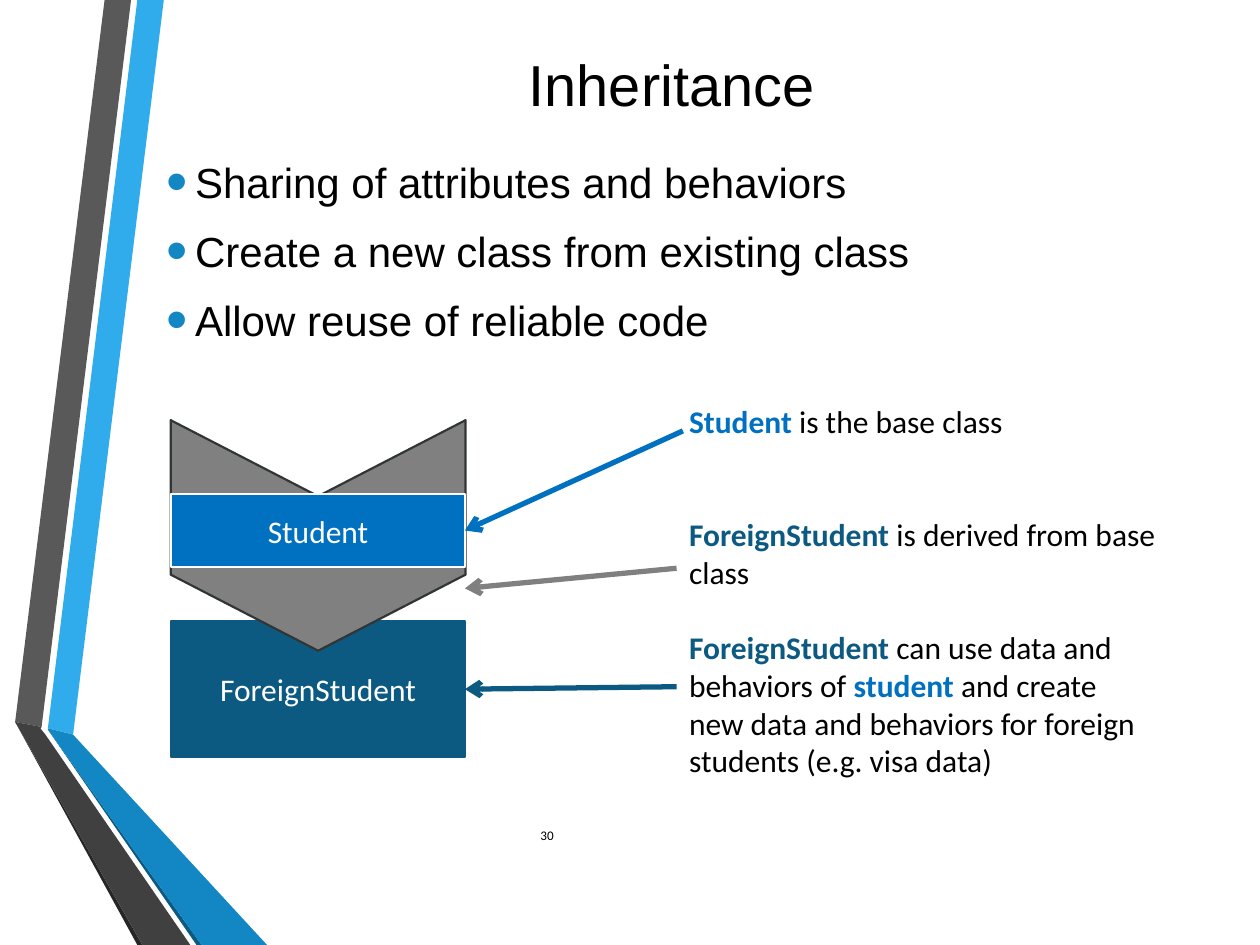
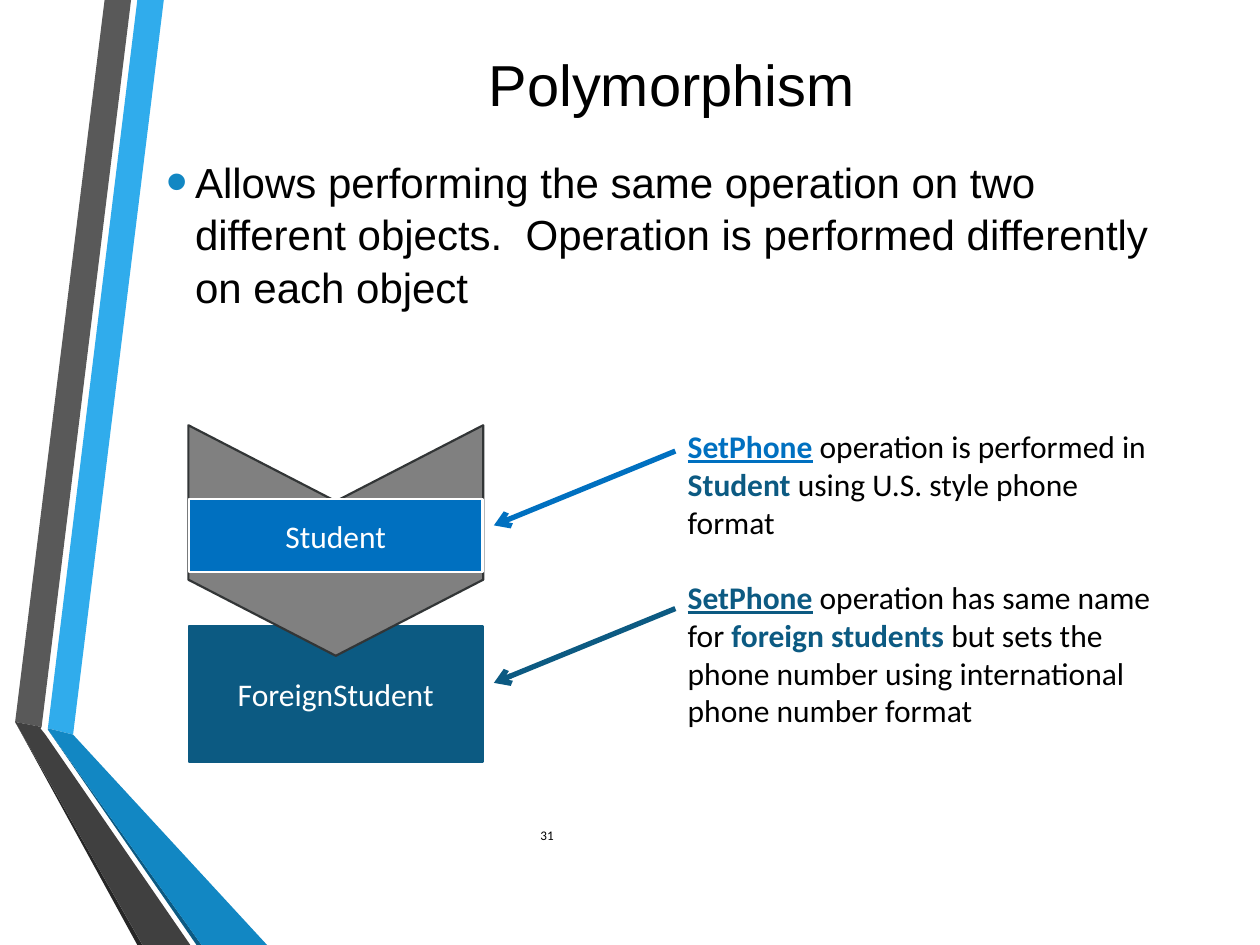
from dataclasses import dataclass
from typing import NamedTuple

import lxml.etree
import pptx
import pptx.dml.color
import pptx.enum.shapes
import pptx.enum.text
import pptx.oxml.ns
import pptx.util

PX = 9144  # EMU per px, 100 px to the inch

COLORS = {
    "black": "000000",
    "white": "FFFFFF",
    "sky": "30ACEC",
    "ocean": "1287C3",
    "teal": "0C5A82",
    "blue": "0070C0",
    "gray": "808080",
    "edge": "323536",
    "slate": "595959",
    "coal": "404040",
    "night": "262626",
}

SHAPE = pptx.enum.shapes.MSO_SHAPE
ALIGN = pptx.enum.text.PP_ALIGN
ANCHOR = pptx.enum.text.MSO_ANCHOR


class Run(NamedTuple):
    text: str
    color: str = "black"
    bold: bool = False
    under: bool = False


class Box(NamedTuple):
    left: int
    top: int
    width: int
    height: int


class Band(NamedTuple):
    color: str
    points: list[tuple[int, int]]


class Arrow(NamedTuple):
    """A line to a point, or to the right side of the named class box."""
    color: str
    start: tuple[int, int]
    end: tuple[int, int] | str


@dataclass
class Page:
    title: str
    number: int
    points: list[str]
    stack: tuple[int, int]
    notes: list[list[Run]]
    area: Box
    gaps: list[float]
    arrows: list[Arrow]


BANDS = [
    Band("sky", [(38, 578), (58, 583), (130, 0), (109, 0)]),
    Band("slate", [(104, 0), (83, 0), (12, 573), (33, 577)]),
    Band("night", [(12, 573), (109, 750), (113, 750)]),
    Band("teal", [(38, 579), (156, 750), (160, 750)]),
    Band("ocean", [(38, 578), (38, 579), (160, 750), (212, 750), (58, 583)]),
    Band("coal", [(151, 750), (36, 583), (32, 578), (33, 577), (12, 573), (113, 750)]),
]
TITLE = Box(122, 25, 822, 83)
BODY = Box(122, 117, 822, 567)
NUMBER = Box(419, 643, 581, 40)

PAGES = [
    Page(
        "Inheritance", 30,
        ["Sharing of attributes and behaviors",
         "Create a new class from existing class",
         "Allow reuse of reliable code"],
        (136, 493),
        [[Run("Student ", "blue", True), Run("is the base class")],
         [Run("ForeignStudent ", "teal", True), Run("is derived from base class")],
         [Run("ForeignStudent ", "teal", True), Run("can use data and behaviors of "),
          Run("student ", "blue", True),
          Run("and create new data and behaviors for foreign students (e.g. visa data)")]],
        Box(537, 314, 392, 367), [0, 43, 21.5],
        [Arrow("blue", (542, 342), "Student"),
         Arrow("teal", (537, 545), "ForeignStudent"),
         Arrow("gray", (537, 451), (369, 467))],
    ),
    Page(
        "Polymorphism", 31,
        ["Allows performing the same operation on two different objects.  "
         "Operation is performed differently on each object"],
        (150, 497),
        [[Run("SetPhone", "blue", True, True), Run(" operation is performed in "),
          Run("Student", "teal", True), Run(" using U.S. style phone format")],
         [Run("SetPhone", "teal", True, True), Run(" operation has same name for "),
          Run("foreign students ", "teal", True),
          Run("but sets the phone number using international phone number format")]],
        Box(536, 334, 392, 270), [0, 21.5],
        [Arrow("blue", (536, 358), (392, 417)),
         Arrow("teal", (536, 483), (392, 542))],
    ),
]


def rgb(name: str) -> pptx.dml.color.RGBColor:
    return pptx.dml.color.RGBColor.from_string(COLORS[name])


def emu(lengths) -> list[int]:
    return [length * PX for length in lengths]


def add_xml(parent, tag: str, **attrs: str):
    return lxml.etree.SubElement(parent, pptx.oxml.ns.qn(tag), attrs)


def write(shape, paras: list[list[Run]], *, size: float, font: str = "Calibri",
          align=ALIGN.LEFT, anchor=ANCHOR.TOP, gaps: list[float] | None = None) -> None:
    """Fill a shape with paragraphs; gaps gives the points before each."""
    frame = shape.text_frame
    frame.word_wrap = True
    frame.vertical_anchor = anchor
    for i, runs in enumerate(paras):
        para = frame.paragraphs[0] if i == 0 else frame.add_paragraph()
        para.alignment = align
        if gaps:
            para.space_before = pptx.util.Pt(gaps[i])
        for item in runs:
            run = para.add_run()
            run.text = item.text
            run.font.name = font
            run.font.size = pptx.util.Pt(size)
            run.font.color.rgb = rgb(item.color)
            run.font.bold = item.bold
            run.font.underline = item.under


def add_text(slide, box: Box, paras: list[list[Run]], **style):
    shape = slide.shapes.add_textbox(*emu(box))
    write(shape, paras, **style)
    return shape


def add_list(slide, points: list[str]) -> None:
    shape = add_text(slide, BODY, [[Run(point)] for point in points],
                     size=24, font="Arial", gaps=[4.8] * len(points))
    for para in shape.text_frame.paragraphs:
        para.space_after = pptx.util.Pt(4.5)
        para.line_spacing = 1.05
        props = para._p.get_or_add_pPr()
        props.set("marL", str(23 * PX))
        props.set("indent", str(-23 * PX))
        add_xml(add_xml(props, "a:buClr"), "a:srgbClr", val=COLORS["ocean"])
        add_xml(props, "a:buSzPct", val="145000")
        add_xml(props, "a:buFont", typeface="Arial")
        add_xml(props, "a:buChar", char="•")


def paint(shape, fill: str, line: str | None = None) -> None:
    shape.shadow.inherit = False
    shape.fill.solid()
    shape.fill.fore_color.rgb = rgb(fill)
    if line:
        shape.line.color.rgb = rgb(line)
        shape.line.width = pptx.util.Pt(1.25)
    else:
        shape.line.fill.background()


def add_band(slide, band: Band) -> None:
    outline = slide.shapes.build_freeform(*band.points[0], scale=PX)
    outline.add_line_segments(band.points[1:], close=True)
    paint(outline.convert_to_shape(), band.color)


def add_class(slide, name: str, box: Box, fill: str, line: str):
    shape = slide.shapes.add_shape(SHAPE.RECTANGLE, *emu(box))
    paint(shape, fill, line)
    write(shape, [[Run(name, "white")]], size=18, align=ALIGN.CENTER, anchor=ANCHOR.MIDDLE)
    return shape


def add_stack(slide, left: int, top: int) -> dict:
    """Draw the derived class, the chevron and the base class on top."""
    child = add_class(slide, "ForeignStudent", Box(left, top, 233, 108), "teal", "teal")
    chevron = slide.shapes.add_shape(SHAPE.CHEVRON, *emu((left + 25, top - 185, 183, 234)))
    chevron.rotation = 90
    chevron.adjustments[0] = 0.33
    paint(chevron, "gray", "edge")
    base = add_class(slide, "Student", Box(left, top - 101, 233, 58), "blue", "white")
    return {"Student": base, "ForeignStudent": child}


def add_arrow(slide, arrow: Arrow, boxes: dict) -> None:
    joined = isinstance(arrow.end, str)
    end = arrow.start if joined else arrow.end
    line = slide.shapes.add_connector(
        pptx.enum.shapes.MSO_CONNECTOR.STRAIGHT, *emu(arrow.start + end))
    if joined:
        line.end_connect(boxes[arrow.end], 3)
    line.line.color.rgb = rgb(arrow.color)
    line.line.width = pptx.util.Pt(3)
    add_xml(line.line._get_or_add_ln(), "a:tailEnd", type="arrow")
    add_xml(line._element.spPr, "a:effectLst")


def add_page(deck, page: Page) -> None:
    slide = deck.slides.add_slide(deck.slide_layouts[6])
    for band in BANDS:
        add_band(slide, band)
    add_text(slide, TITLE, [[Run(page.title)]], size=33, font="Arial",
             align=ALIGN.CENTER, anchor=ANCHOR.MIDDLE)
    add_list(slide, page.points)
    add_text(slide, NUMBER, [[Run(str(page.number))]], size=7.5, anchor=ANCHOR.MIDDLE)
    boxes = add_stack(slide, *page.stack)
    add_text(slide, page.area, page.notes, size=18, gaps=page.gaps)
    for arrow in page.arrows:
        add_arrow(slide, arrow, boxes)


def main() -> None:
    deck = pptx.Presentation()
    deck.slide_width, deck.slide_height = emu((1000, 750))
    for page in PAGES:
        add_page(deck, page)
    deck.save("out.pptx")


if __name__ == "__main__":
    main()
